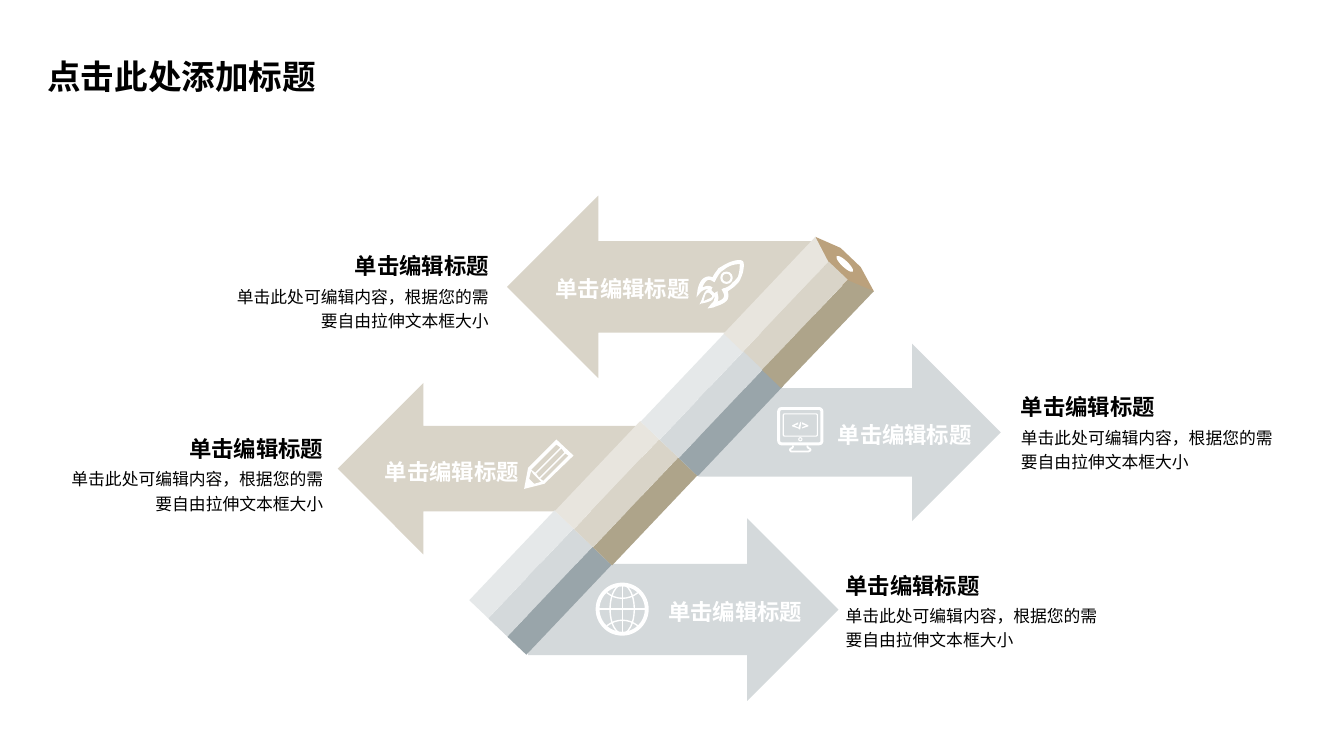
from lxml import etree
from pptx import Presentation
from pptx import util as u
from pptx.dml import color
from pptx.enum import shapes, text
from pptx.oxml import ns

GRID = u.Cm(2.54) / 100  # drawing grid for outlines
WHITE, BLACK = "FFFFFF", "000000"
SAND = ("E8E5DE", "D9D4C8", "AEA48A")
MIST = ("E5E8E9", "D4D9DB", "99A5AA")
WOOD = "BBA17C"
TILT = 313.5
LABEL = "单击编辑标题"
BODY = "单击此处可编辑内容，根据您的需要自由拉伸文本框大小"

# colour, points right, arrow box, label corner, caption inner edge and top
ARROWS = [
    (MIST[1], True, (13.31, 13.06, 7.82, 4.6), (16.61, 14.94), (21.31, 14.27)),
    (MIST[1], True, (17.6, 8.66, 7.62, 4.47), (20.88, 10.49), (25.73, 9.78)),
    (SAND[1], False, (12.78, 4.93, 7.75, 4.6), (13.77, 6.81), (12.32, 6.22)),
    (SAND[1], False, (8.51, 9.65, 7.67, 4.32), (9.47, 11.4), (8.15, 10.82)),
]

# Outlines on the grid: two numbers make a corner, six make a cubic curve.
ROCKET_BODY = [
    [(1, 38), (2, 32), (2, 30, 4, 20, 10, 18), (12, 17, 14, 17, 17, 18),
     (19, 14, 21, 12, 23, 9), (25, 8, 28, 6, 30, 5), (37, 1, 45, 0, 47, 2),
     (49, 4, 48, 13, 45, 19), (44, 22, 42, 24, 40, 26), (38, 28, 35, 30, 32, 32),
     (33, 35, 33, 37, 32, 40), (29, 45, 19, 47, 18, 48), (12, 49), (16, 44),
     (18, 43, 19, 40, 19, 37), (18, 38), (17, 37), (16, 35, 14, 34, 13, 33),
     (12, 32), (12, 30), (9, 30, 7, 31, 5, 33)],
    [(32, 8), (30, 9, 28, 11, 26, 12), (24, 14, 22, 17, 20, 21), (19, 23), (17, 22),
     (16, 21, 13, 20, 12, 21), (10, 22, 8, 25, 7, 28), (10, 27, 12, 26, 15, 27),
     (17, 28), (16, 30), (16, 31), (17, 32, 18, 33, 19, 34), (20, 33), (22, 32),
     (22, 34), (23, 37, 23, 40, 22, 42), (25, 41, 27, 40, 28, 38),
     (29, 36, 28, 34, 27, 32), (26, 30), (28, 29), (32, 28, 35, 26, 37, 23),
     (39, 22, 40, 20, 42, 18), (44, 12, 44, 7, 44, 5), (43, 5, 37, 5, 32, 8)],
]
ROCKET_FLAME = [
    [(4, 45), (5, 43), (6, 42, 8, 34, 10, 32), (11, 30, 15, 30, 17, 33),
     (19, 35, 19, 38, 17, 40), (16, 42, 8, 44, 6, 44)],
    [(15, 34), (14, 33, 12, 33, 11, 34), (10, 34, 9, 38, 8, 42),
     (11, 40, 15, 39, 16, 38), (17, 37, 17, 36, 15, 34)],
]
PENCIL_ICON = [
    [(49, 16), (32, 0), (4, 28), (0, 49), (20, 44)],
    [(19, 41), (16, 39), (41, 14), (44, 16)],
    [(10, 44), (5, 39), (7, 31), (9, 34), (15, 40), (17, 42)],
    [(40, 13), (15, 38), (12, 34), (37, 9)],
    [(32, 5), (36, 8), (11, 33), (7, 30)],
]
CODE_SIGN = [
    [(0, 5), (6, 7), (6, 6), (2, 4), (6, 3), (6, 1), (0, 4)],
    [(9, 0), (8, 1), (6, 7), (7, 8), (8, 8), (9, 1)],
    [(10, 3), (14, 4), (10, 6), (10, 7), (16, 5), (16, 4), (10, 1)],
]
STAND = [[(0, 0), (0, 4, -4, 2, -3, 5), (-2, 6), (15, 6), (17, 5), (18, 2, 14, 4, 14, 0)]]
LATITUDES = [
    [(-15.5, -16), (-6, -8.5, 6, -8.5, 15.5, -16)],
    [(-15.5, 17), (-6, 9.5, 6, 9.5, 15.5, 17)],
]


def rgb(value):
    return color.RGBColor.from_string(value)


def paint(item, fill=None, stroke=None):
    """Fill with a colour, or draw only a white line of the given points."""
    item.shadow.inherit = False
    if fill:
        item.fill.solid()
        item.fill.fore_color.rgb = rgb(fill)
    else:
        item.fill.background()
    if stroke:
        item.line.color.rgb = rgb(WHITE)
        item.line.width = u.Pt(stroke)
    else:
        item.line.fill.background()


def preset(slide, kind, box, fill=None, stroke=None, turn=0):
    item = slide.shapes.add_shape(kind, *[u.Cm(side) for side in box])
    item.rotation = turn
    paint(item, fill, stroke)
    return item


def centred(slide, kind, centre, size, fill=None, stroke=None, turn=0):
    corner = [c - s / 2 for c, s in zip(centre, size)]
    return preset(slide, kind, (*corner, *size), fill, stroke, turn)


def trace(contour):
    """Turn corners and cubic curves into a list of points."""
    points = [contour[0]]
    for step in contour[1:]:
        if len(step) == 2:
            points.append(step)
            continue
        knots = (points[-1], step[:2], step[2:4], step[4:])
        for t in (i / 8 for i in range(1, 9)):
            weights = ((1 - t) ** 3, 3 * t * (1 - t) ** 2, 3 * t * t * (1 - t), t ** 3)
            points.append(tuple(sum(w * k[axis] for w, k in zip(weights, knots))
                                for axis in (0, 1)))
    return points


def outline(slide, contours, origin=(0, 0), fill=None, stroke=None):
    builder = None
    for contour in contours:
        points = [((x + origin[0]) * GRID, (y + origin[1]) * GRID) for x, y in trace(contour)]
        if builder is None:
            builder = slide.shapes.build_freeform(*points[0], scale=1.0)
        else:
            builder.move_to(*points[0])
        builder.add_line_segments(points[1:], close=fill is not None)
    paint(builder.convert_to_shape(), fill, stroke)


def straight(slide, ends, width):
    rule = slide.shapes.add_connector(shapes.MSO_CONNECTOR.STRAIGHT, *[u.Cm(v) for v in ends])
    rule.line.color.rgb = rgb(WHITE)
    rule.line.width = u.Pt(width)
    etree.SubElement(rule._element.spPr, ns.qn("a:effectLst"))


def style(paragraph, size, shade, bold, latin="Arial"):
    for run in paragraph.runs:
        run.font.size, run.font.bold, run.font.name = u.Pt(size), bold, latin
        run.font.color.rgb = rgb(shade)
        etree.SubElement(run.font._element, ns.qn("a:ea"), typeface="Noto Sans CJK SC")


def write(slide, words, box, size, shade, bold, align):
    frame = slide.shapes.add_textbox(*[u.Cm(side) for side in box]).text_frame
    frame.margin_left = frame.margin_right = frame.margin_top = frame.margin_bottom = 0
    frame.word_wrap = True
    frame.auto_size = text.MSO_AUTO_SIZE.SHAPE_TO_FIT_TEXT
    frame.text = words
    paragraph = frame.paragraphs[0]
    paragraph.alignment, paragraph.line_spacing = align, 1.2
    style(paragraph, size, shade, bold)


def add_title(slide):
    title = slide.shapes.title
    title.left, title.top, title.width, title.height = map(u.Cm, (0.94, 1.27, 7.65, 1.28))
    frame = title.text_frame
    frame.text = "点击此处添加标题"
    frame.word_wrap = False
    frame.vertical_anchor = text.MSO_ANCHOR.TOP
    frame.auto_size = text.MSO_AUTO_SIZE.SHAPE_TO_FIT_TEXT
    frame.paragraphs[0].alignment = text.PP_ALIGN.LEFT
    style(frame.paragraphs[0], 24, BLACK, True, "Noto Sans CJK SC")


def add_arrow(slide, shade, points_right, box, label, caption):
    preset(slide, shapes.MSO_SHAPE.LEFT_ARROW, box, shade, turn=180 if points_right else 0)
    write(slide, LABEL, (*label, 3.61, 0.81), 16, WHITE, True, text.PP_ALIGN.RIGHT)
    edge, top = caption
    align = text.PP_ALIGN.LEFT if points_right else text.PP_ALIGN.RIGHT
    for words, drop, width, height, size in ((LABEL, 0, 3.61, 0.81, 16),
                                             (BODY, 0.9, 6.48, 1.22, 12)):
        left = edge if points_right else edge - width
        write(slide, words, (left, top + drop, width, height), size, BLACK, size == 16, align)


def add_big_pencil(slide):
    bar = shapes.MSO_SHAPE.RECTANGLE
    for segment, shades in enumerate((MIST, SAND, MIST)):
        for band, shade in enumerate(shades):
            centre = (13.14 + 2.16 * segment + 0.48 * band, 14.22 - 2.25 * segment + 0.46 * band)
            centred(slide, bar, centre, (3.12, 0.66), shade, turn=TILT)
    outline(slide, [[(812, 260), (809, 235), (834, 246), (854, 265), (867, 289), (841, 288)]],
            fill=WOOD)
    outline(slide, [[(822, 260), (809, 235), (718, 331), (737, 349)]], fill=SAND[0])
    centred(slide, bar, (20.05, 7.95), (3.12, 0.66), SAND[1], turn=TILT)
    outline(slide, [[(867, 289), (841, 278), (756, 367), (775, 385)]], fill=SAND[2])
    centred(slide, shapes.MSO_SHAPE.OVAL, (21.29, 6.65), (0.16, 0.56), WHITE, turn=TILT)


def add_globe(slide):
    x, y, radius = 15.68, 15.35, 0.62
    for width, stroke in ((2 * radius, 2.75), (0.61, 1)):
        centred(slide, shapes.MSO_SHAPE.OVAL, (x, y), (width, 2 * radius), stroke=stroke)
    straight(slide, (x - radius, y, x + radius, y), 1)
    straight(slide, (x, y - radius, x, y + radius), 1)
    outline(slide, LATITUDES, (617.5, 604), stroke=1)


def add_monitor(slide):
    for size, stroke, rounding in (((1.09, 0.89), 2.1, 0.08), ((0.86, 0.56), 0.8, 0.06)):
        frame = centred(slide, shapes.MSO_SHAPE.ROUNDED_RECTANGLE,
                        (20.17, 10.74 if stroke > 1 else 10.71), size, stroke=stroke)
        frame.adjustments[0] = rounding
    centred(slide, shapes.MSO_SHAPE.OVAL, (20.17, 11.07), (0.08, 0.08), stroke=0.75)
    outline(slide, STAND, (787, 442), stroke=1.3)
    outline(slide, CODE_SIGN, (786, 418), WHITE)


def add_rocket(slide):
    for part in (ROCKET_BODY, ROCKET_FLAME):
        outline(slide, part, (690, 257), WHITE)
    centred(slide, shapes.MSO_SHAPE.OVAL, (18.31, 7), (0.26, 0.26), stroke=1.5)


def main():
    deck = Presentation()
    deck.slide_width, deck.slide_height = u.Cm(33.87), u.Cm(19.05)
    slide = deck.slides.add_slide(deck.slide_layouts[5])
    add_title(slide)
    for arrow in ARROWS:
        add_arrow(slide, *arrow)
    add_big_pencil(slide)
    add_globe(slide)
    add_monitor(slide)
    add_rocket(slide)
    outline(slide, PENCIL_ICON, (520, 436), WHITE)
    deck.save("out.pptx")


if __name__ == "__main__":
    main()
